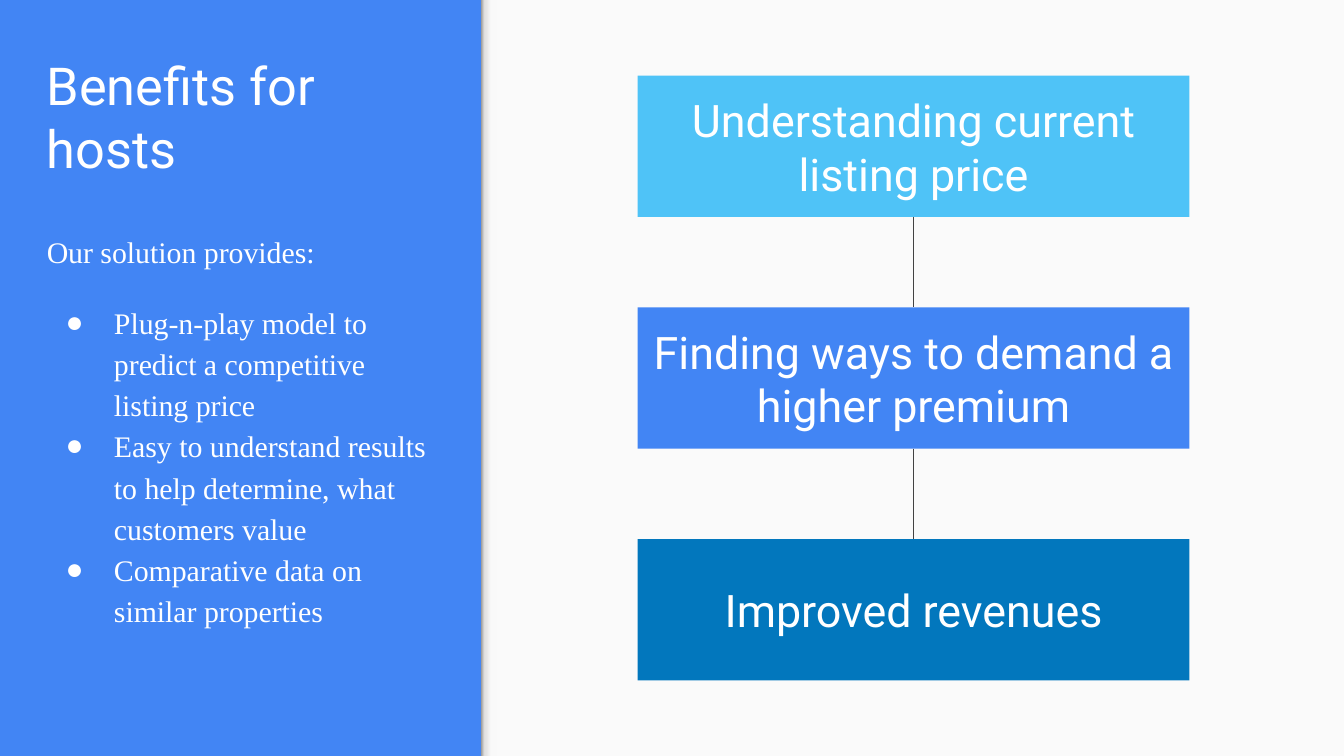
from itertools import pairwise

from lxml.etree import SubElement
from pptx import Presentation
from pptx.dml.color import RGBColor
from pptx.enum.shapes import MSO_CONNECTOR as Connector, MSO_SHAPE as Shape
from pptx.enum.text import MSO_ANCHOR as Anchor, PP_ALIGN as Align
from pptx.oxml.ns import qn
from pptx.util import Inches, Pt

WHITE = RGBColor(0xFF, 0xFF, 0xFF)
PAPER = RGBColor(0xFA, 0xFA, 0xFA)
BLUE = RGBColor(0x42, 0x85, 0xF4)
SKY = RGBColor(0x4F, 0xC3, 0xF7)
DEEP = RGBColor(0x02, 0x77, 0xBD)
INK = RGBColor(0x42, 0x42, 0x42)
SHADE = [
    (0, RGBColor(0x99, 0x99, 0x99)),
    (20, RGBColor(0xDE, 0xDE, 0xDE)),
    (64, RGBColor(0xF9, 0xF9, 0xF9)),
    (100, RGBColor(0xF9, 0xF9, 0xF9)),
]
BENEFITS = [
    "Plug-n-play model to predict a competitive listing price",
    "Easy to understand results to help determine, what customers value",
    "Comparative data on similar properties",
]
STEPS = [
    ("Understanding current listing price", SKY),
    ("Finding ways to demand a higher premium", BLUE),
    ("Improved revenues", DEEP),
]


class SlideBuilder:
    """Draws styled elements on one slide, placed in percent of its size."""

    heading_font = "Roboto"
    body_font = "Times New Roman"

    def __init__(self, deck):
        self.deck = deck
        self.page = deck.slides.add_slide(deck.slide_layouts[6])

    def place(self, left, top, width, height):
        across, down = self.deck.slide_width / 100, self.deck.slide_height / 100
        return [round(n) for n in (left * across, top * down, width * across, height * down)]

    def background(self, color):
        fill = self.page.background.fill
        fill.solid()
        fill.fore_color.rgb = color

    def panel(self, area, color):
        box = self.page.shapes.add_shape(Shape.RECTANGLE, *self.place(*area))
        box.shadow.inherit = False
        box.fill.solid()
        box.fill.fore_color.rgb = color
        box.line.fill.background()
        return box

    def edge_shadow(self, area, stops):
        box = self.panel(area, PAPER)
        box.fill.gradient()
        box.fill.gradient_angle = 0
        stop_list = box._element.spPr.find(qn("a:gradFill")).find(qn("a:gsLst"))
        for stop in list(stop_list):
            stop_list.remove(stop)
        for share, color in stops:
            stop = SubElement(stop_list, qn("a:gs"), pos=str(share * 1000))
            SubElement(stop, qn("a:srgbClr"), val=str(color))

    def frame(self, box, anchor):
        frame = box.text_frame
        frame.word_wrap = True
        frame.vertical_anchor = anchor
        frame.margin_left = frame.margin_right = Inches(0.1)
        frame.margin_top = frame.margin_bottom = Inches(0.1)
        return frame

    def add_span(self, para, text, size, font):
        span = para.add_run()
        span.text = text
        span.font.size = Pt(size)
        span.font.name = font
        span.font.color.rgb = WHITE

    def bullet(self, para):
        props = para._p.get_or_add_pPr()
        props.set("marL", str(Inches(0.5)))
        props.set("indent", str(Inches(-0.36)))
        color = SubElement(props, qn("a:buClr"))
        SubElement(color, qn("a:srgbClr"), val=str(WHITE))
        SubElement(props, qn("a:buFont"), typeface=self.body_font)
        SubElement(props, qn("a:buChar"), char="●")

    def title(self, area, text):
        box = self.page.shapes.add_textbox(*self.place(*area))
        para = self.frame(box, Anchor.BOTTOM).paragraphs[0]
        self.add_span(para, text, 28, self.heading_font)

    def bullet_list(self, area, intro, items):
        box = self.page.shapes.add_textbox(*self.place(*area))
        frame = self.frame(box, Anchor.TOP)
        for index, text in enumerate([intro, *items]):
            para = frame.add_paragraph() if index else frame.paragraphs[0]
            if index:
                self.bullet(para)
            para.line_spacing = 1.15
            para.space_before = Pt(16 if index == 1 else 0)
            self.add_span(para, text, 16, self.body_font)

    def step(self, area, text, color):
        box = self.panel(area, color)
        para = self.frame(box, Anchor.MIDDLE).paragraphs[0]
        para.alignment = Align.CENTER
        self.add_span(para, text, 24, self.heading_font)
        return box

    def link(self, upper, lower):
        line = self.page.shapes.add_connector(Connector.STRAIGHT, 0, 0, 0, 0)
        line.begin_connect(upper, 2)
        line.end_connect(lower, 0)
        line.line.color.rgb = INK
        line.line.width = Pt(0.75)
        SubElement(line._element.spPr, qn("a:effectLst"))


def main():
    deck = Presentation()
    deck.slide_width, deck.slide_height = Inches(10), Inches(5.625)
    slide = SlideBuilder(deck)
    slide.background(BLUE)
    slide.panel((35.8, 0, 64.2, 100), PAPER)
    slide.edge_shadow((35.8, 0, 1.2, 100), SHADE)
    slide.title((2.5, 6.9, 30.7, 18.5), "Benefits for hosts")
    slide.bullet_list((2.5, 28.4, 30.7, 61.5), "Our solution provides:", BENEFITS)
    boxes = [
        slide.step((47.45, 10 + 30.66 * row, 41.05, 18.7), text, color)
        for row, (text, color) in enumerate(STEPS)
    ]
    for upper, lower in pairwise(boxes):
        slide.link(upper, lower)
    deck.save("out.pptx")


if __name__ == "__main__":
    main()
